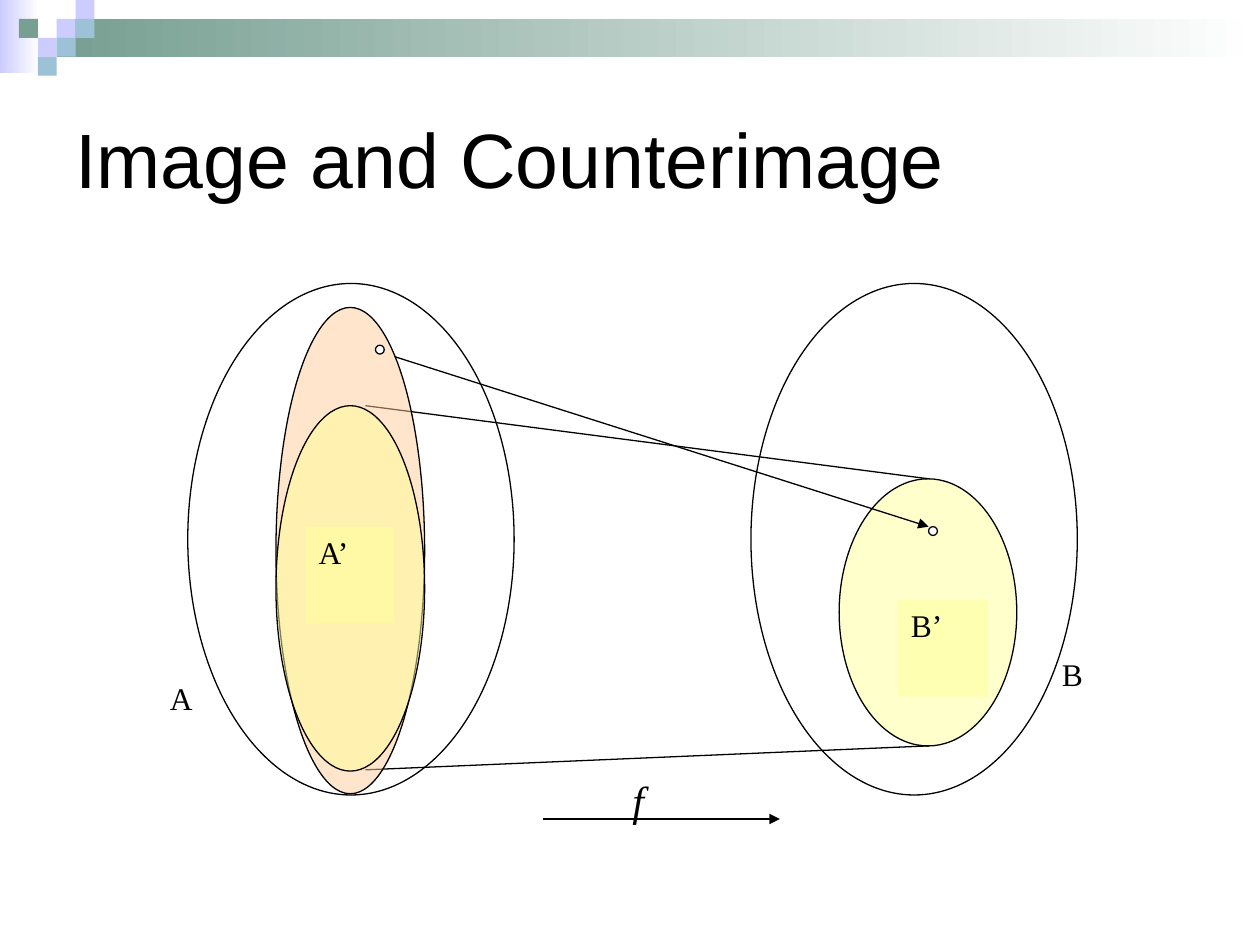
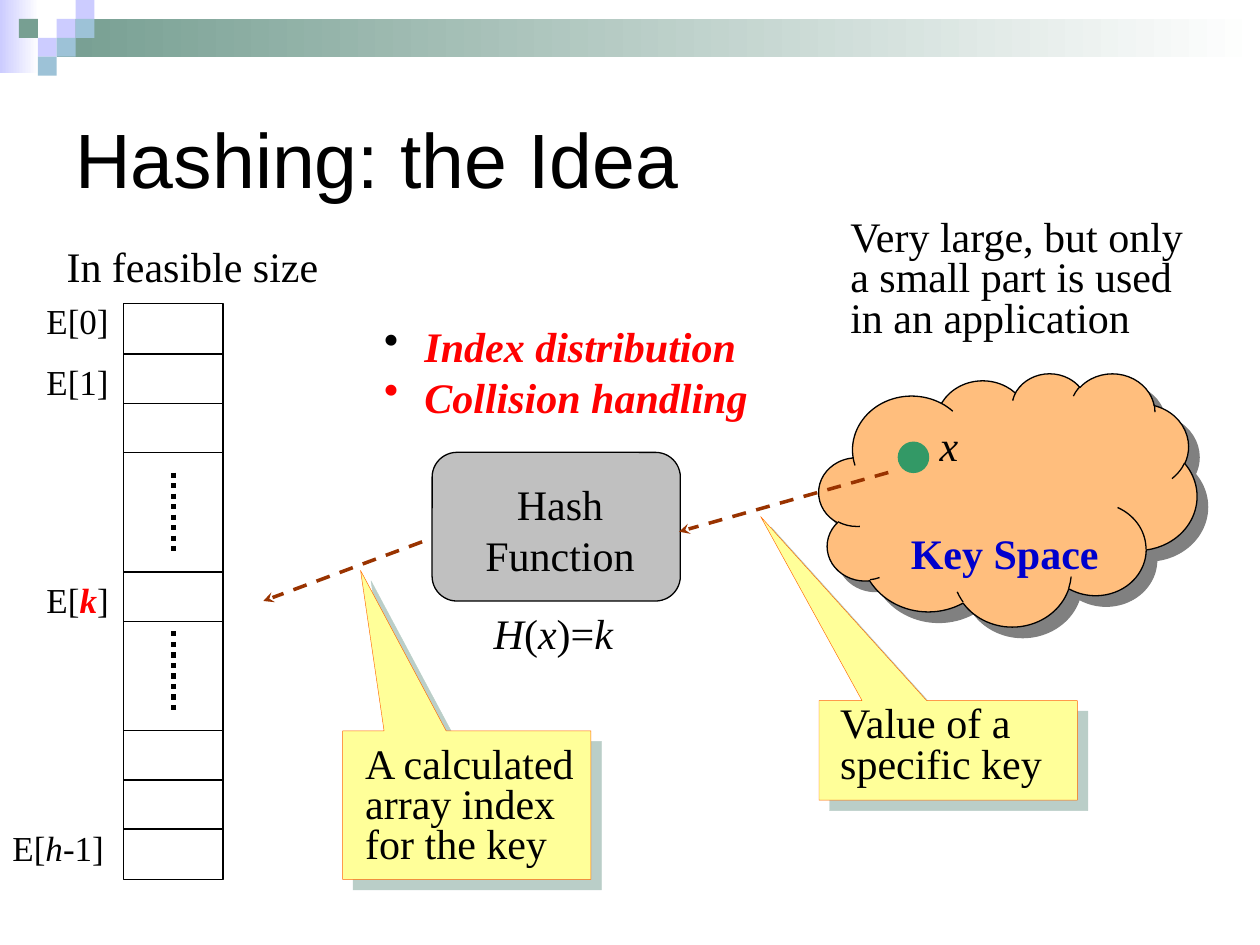
"""Build two slides: image and counterimage of a function, and the idea of hashing."""
from dataclasses import dataclass
from itertools import accumulate
from typing import NamedTuple, Optional, Union

from pptx import Presentation
from pptx import util as u
from pptx.dml.color import RGBColor
from pptx.enum import dml, shapes, text as txt
from pptx.oxml import parse_xml
from pptx.oxml.ns import nsdecls, qn

SHAPE = shapes.MSO_SHAPE
ALIGN = txt.PP_ALIGN
DASH = dml.MSO_LINE


@dataclass(frozen=True)
class Theme:
    black: str = "000000"
    white: str = "FFFFFF"
    lilac: str = "CCCCFF"
    sage: str = "779F92"
    sky: str = "9DC2D7"
    yellow: str = "FFFF99"
    peach: str = "FFCC99"
    orange: str = "FFBE7D"
    orange_line: str = "FF6600"
    gray: str = "C0C0C0"
    dark_gray: str = "808080"
    green: str = "339966"
    brown: str = "993300"
    red: str = "FF0000"
    blue: str = "0000CC"
    title_font: str = "Arial"
    body_font: str = "Times New Roman"
    title: float = 44
    body: float = 24
    index: float = 20
    set_name: float = 18
    thin: float = 0.75


T = Theme()


class Box(NamedTuple):
    x: float
    y: float
    w: float
    h: float


class Point(NamedTuple):
    x: float
    y: float


class Run(NamedTuple):
    text: str
    italic: bool = False
    bold: bool = False
    color: Optional[str] = None


class Shadow(NamedTuple):
    color: str
    opacity: int


class Square(NamedTuple):
    col: int
    row: int
    color: str


class Callout(NamedTuple):
    box: Box
    adj: tuple[float, float]
    label_box: Box
    label: str


class Label(NamedTuple):
    box: Box
    content: tuple[Run, ...]


Para = Union[str, tuple[Run, ...]]

SQUARES = [
    Square(3, 1, T.lilac), Square(4, 0, T.lilac), Square(4, 1, T.sky),
    Square(2, 2, T.lilac), Square(1, 1, T.sage), Square(3, 2, T.sky),
    Square(2, 3, T.sky),
]


def rgb(color: str) -> RGBColor:
    return RGBColor.from_string(color)


def add_xml(parent, xml: str) -> None:
    tag, _, rest = xml.partition(" ")
    parent.append(parse_xml(f"<a:{tag} {nsdecls('a')} {rest}"))


def write(sp, *paras: Para, size: float = T.body, font: str = T.body_font,
          color: str = T.black, bold: bool = False, italic: bool = False,
          align=ALIGN.LEFT, anchor=txt.MSO_ANCHOR.TOP, before: float = 0,
          spacing: Optional[float] = None, bullets: tuple[str, ...] = ()):
    tf = sp.text_frame
    tf.word_wrap = True
    tf.vertical_anchor = anchor
    for i, content in enumerate(paras):
        p = tf.add_paragraph() if i else tf.paragraphs[0]
        p.alignment = align
        p.space_before = u.Pt(before)
        if spacing:
            p.line_spacing = spacing
        if bullets:
            pPr = p._p.get_or_add_pPr()
            pPr.set("marL", str(u.Inches(0.32)))
            pPr.set("indent", str(-u.Inches(0.32)))
            add_xml(pPr, f'buClr ><a:srgbClr val="{bullets[i]}"/></a:buClr>')
            add_xml(pPr, 'buChar char="•"/>')
        runs = (Run(content, italic, bold),) if isinstance(content, str) else content
        for run in runs:
            r = p.add_run()
            r.text = run.text
            r.font.name, r.font.size = font, u.Pt(size)
            r.font.italic, r.font.bold = run.italic, run.bold
            r.font.color.rgb = rgb(run.color or color)


def add_label(s, box: Box, *paras: Para, **fmt):
    write(s.shapes.add_textbox(*map(u.Inches, box)), *paras, **fmt)


def add_shape(s, kind, box: Box, fill: Optional[str] = None, line: Optional[str] = None,
              width: float = T.thin, opacity: int = 100,
              shadow: Optional[Shadow] = None, adj: tuple[float, ...] = ()):
    sp = s.shapes.add_shape(kind, *map(u.Inches, box))
    sp.shadow.inherit = False
    for i, value in enumerate(adj):
        sp.adjustments[i] = value
    if fill:
        sp.fill.solid()
        sp.fill.fore_color.rgb = rgb(fill)
    else:
        sp.fill.background()
    if line:
        sp.line.color.rgb = rgb(line)
        sp.line.width = u.Pt(width)
    else:
        sp.line.fill.background()
    spPr = sp.element.spPr
    if opacity < 100:
        add_xml(spPr.find(qn("a:solidFill"))[0], f'alpha val="{opacity * 1000}"/>')
    if shadow:
        add_xml(spPr.find(qn("a:effectLst")),
                f'outerShdw dist="{u.Pt(8.5)}" dir="2700000" algn="ctr" rotWithShape="0">'
                f'<a:srgbClr val="{shadow.color}"><a:alpha val="{shadow.opacity * 1000}"/>'
                '</a:srgbClr></a:outerShdw>')
    return sp


def add_line(s, start: Point, end: Point, color: str = T.black, width: float = T.thin,
             dash=None, arrow: Optional[str] = None):
    c = s.shapes.add_connector(shapes.MSO_CONNECTOR.STRAIGHT, *map(u.Inches, start + end))
    c.line.color.rgb = rgb(color)
    c.line.width = u.Pt(width)
    if dash:
        c.line.dash_style = dash
    spPr = c._element.spPr
    if arrow:
        add_xml(spPr.find(qn("a:ln")), f'tailEnd type="{arrow}"/>')
    add_xml(spPr, "effectLst />")


def add_fade(s, box: Box, color: str):
    sp = add_shape(s, SHAPE.RECTANGLE, box)
    sp.fill.gradient()
    sp.fill.gradient_angle = 180
    for stop, stop_color in zip(sp.fill.gradient_stops, (T.white, color)):
        stop.color.rgb = rgb(stop_color)


def new_slide(prs, title: str):
    s = prs.slides.add_slide(prs.slide_layouts[6])
    unit = 0.15
    add_fade(s, Box(0, 0, 0.31, 0.58), T.lilac)
    add_fade(s, Box(0.45, unit, 9.55, 2 * unit), T.sage)
    for q in SQUARES:
        add_shape(s, SHAPE.RECTANGLE, Box(q.col * unit, q.row * unit, unit, unit), q.color)
    add_label(s, Box(0.5, 0.5, 9, 1.5), title, size=T.title, font=T.title_font,
              anchor=txt.MSO_ANCHOR.MIDDLE)
    return s


def add_set(s, box: Box, fill: str = T.white, opacity: int = 100):
    add_shape(s, SHAPE.OVAL, box, fill, T.black, opacity=opacity)


def add_subset_name(s, box: Box, name: str):
    sp = add_shape(s, SHAPE.RECTANGLE, box, T.yellow, opacity=50)
    write(sp, name, size=T.set_name, align=ALIGN.JUSTIFY)


def build_image_slide(prs):
    s = new_slide(prs, "Image and Counterimage")
    dot = 0.07
    for x in (1.49, 5.96):
        add_set(s, Box(x, 2.25, 2.59, 4.06))
    add_set(s, Box(6.66, 3.8, 1.41, 2.12), T.yellow, 50)
    add_set(s, Box(7.37, 4.18, dot, dot))
    add_label(s, Box(8.33, 5.15, 0.94, 0.77), "B", size=T.set_name, align=ALIGN.JUSTIFY)
    add_subset_name(s, Box(7.13, 4.76, 0.71, 0.77), "B’")
    add_line(s, Point(2.9, 3.22), Point(7.37, 3.8))
    add_line(s, Point(2.9, 6.11), Point(7.37, 5.92))
    add_line(s, Point(3.13, 2.83), Point(7.37, 4.18), arrow="triangle")
    add_line(s, Point(4.31, 6.5), Point(6.19, 6.5), arrow="triangle")
    add_set(s, Box(2.19, 2.44, 1.18, 3.86), T.peach, 50)
    add_label(s, Box(1.25, 5.34, 0.71, 0.97), "A", size=T.set_name, align=ALIGN.JUSTIFY)
    add_set(s, Box(2.19, 3.22, 1.18, 2.9), T.yellow, 50)
    add_set(s, Box(2.98, 2.74, dot, dot))
    add_subset_name(s, Box(2.43, 4.18, 0.7, 0.77), "A’")
    add_label(s, Box(4.92, 6.1, 0.42, 0.5), "f", italic=True, before=15)


def add_array(s):
    left, top, width, row = 0.98, 2.42, 0.79, 0.39
    add_shape(s, SHAPE.RECTANGLE, Box(left, 2.41, width, 4.57), line=T.black, width=1)
    for y in accumulate([row, row, row, 0.95, row, 0.87, row, row], initial=top):
        if y > top:
            add_line(s, Point(left, y), Point(left + width, y))
    for y in (3.75, 5.01):
        add_line(s, Point(1.38, y), Point(1.38, y + 0.63), width=3, dash=DASH.ROUND_DOT)
    labels = [
        Label(Box(0.27, 2.33, 1.22, 0.44), (Run("E[0]"),)),
        Label(Box(0.27, 2.81, 1.22, 0.44), (Run("E[1]"),)),
        Label(Box(0.27, 4.54, 1.22, 0.44),
              (Run("E["), Run("k", True, True, T.red), Run("]"))),
        Label(Box(0, 6.51, 1.22, 0.44), (Run("E["), Run("h", True), Run("-1]"))),
    ]
    for item in labels:
        add_label(s, item.box, item.content, size=T.index, before=12.5)


def build_hashing_slide(prs):
    s = new_slide(prs, "Hashing: the Idea")
    tight = dict(before=6, spacing=0.8)
    callouts = [
        Callout(Box(6.5, 5.56, 2.05, 0.79), (-0.726, -2.348),
                Box(6.57, 5.56, 1.89, 0.74), "Value of a specific key"),
        Callout(Box(2.72, 5.8, 1.97, 1.18), (-0.428, -1.579),
                Box(2.8, 5.88, 2.05, 1.06), "A calculated array index for the key"),
    ]
    for c in callouts:
        add_shape(s, SHAPE.RECTANGULAR_CALLOUT, c.box, T.yellow, T.orange_line, 0.25,
                  shadow=Shadow(T.sage, 50), adj=c.adj)
        add_label(s, c.label_box, c.label, **tight)

    add_shape(s, SHAPE.CLOUD, Box(6.5, 2.96, 3, 2.01), T.orange, T.black,
              shadow=Shadow(T.dark_gray, 100))
    add_label(s, Box(7.13, 4.14, 1.89, 0.5), "Key Space", color=T.blue, bold=True, before=15)
    add_shape(s, SHAPE.OVAL, Box(7.13, 3.51, 0.24, 0.24), T.green, T.green)
    add_label(s, Box(7.36, 3.28, 0.55, 0.5), "x", italic=True, before=15)

    add_shape(s, SHAPE.ROUNDED_RECTANGLE, Box(3.43, 3.59, 1.97, 1.18), T.gray, T.black)
    add_label(s, Box(3.66, 3.75, 1.57, 0.9), "Hash Function", align=ALIGN.CENTER, before=15)
    formula = (Run("H", True), Run("("), Run("x", True), Run(")="), Run("k", True))
    add_label(s, Box(3.82, 4.77, 2.21, 0.5), formula, before=15)

    add_array(s)
    for start, end in ((Point(7.05, 3.75), Point(5.39, 4.22)),
                       (Point(3.35, 4.3), Point(2.09, 4.77))):
        add_line(s, start, end, T.brown, 2, DASH.DASH, "stealth")

    add_label(s, Box(6.65, 1.7, 2.91, 1.06),
              "Very large, but only a small part is used in an application", **tight)
    add_label(s, Box(0.43, 1.86, 2.52, 0.5), "In feasible size", before=15)
    add_label(s, Box(2.95, 2.57, 3.15, 0.83), "Index distribution", "Collision handling",
              color=T.red, bold=True, italic=True, bullets=(T.black, T.red), **tight)


def main():
    prs = Presentation()
    prs.slide_width, prs.slide_height = u.Inches(10), u.Inches(7.5)
    build_image_slide(prs)
    build_hashing_slide(prs)
    prs.save("out.pptx")


if __name__ == "__main__":
    main()
